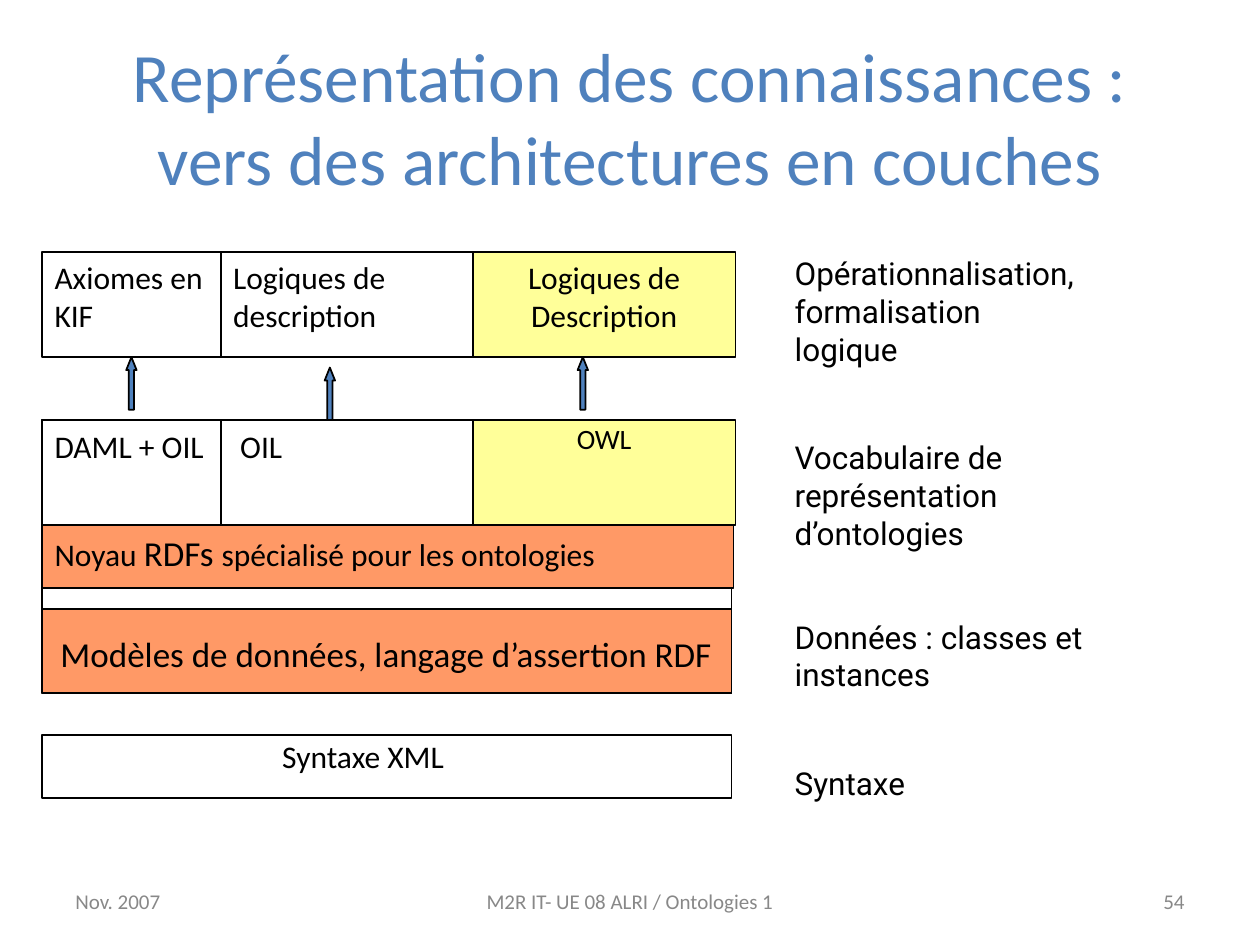
from dataclasses import dataclass

from pptx import Presentation
from pptx.dml.color import RGBColor
from pptx.enum.shapes import MSO_SHAPE
from pptx.enum.text import MSO_ANCHOR, MSO_AUTO_SIZE, PP_ALIGN
from pptx.util import Cm, Pt


@dataclass(frozen=True)
class Theme:
    blue: str = "4F81BD"
    orange: str = "FF9966"
    yellow: str = "FFFF99"
    black: str = "000000"
    grey: str = "888888"
    heading_font: str = "Calibri"
    label_font: str = "Roboto"
    title_size: float = 39.6
    large_size: int = 20
    body_size: int = 18
    small_size: int = 16
    footer_size: int = 12
    line_width: int = 1


THEME = Theme()
LEFT, CENTER, RIGHT = PP_ALIGN.LEFT, PP_ALIGN.CENTER, PP_ALIGN.RIGHT
INSETS = (0.25, 0.13)
TIGHT_INSETS = (0.15, 0.03)

TITLE = "Représentation des connaissances : vers des architectures en couches"
FOOTERS = [
    ("Nov. 2007", 1.27, 5.93, LEFT),
    ("M2R IT- UE 08 ALRI / Ontologies 1", 8.68, 8.04, CENTER),
    ("54", 18.2, 5.93, RIGHT),
]
FRAMES = [
    (14.82, 1.27, None),
    (12.28, 1.69, THEME.orange),
    (8.47, 5.5, None),
]
LAYER_LABELS = [
    (["Opérationnalisation,", "formalisation logique"], 5.0, 1.78),
    (["Vocabulaire de représentation d’ontologies"], 8.71, 2.54),
    (["Données : classes et instances"], 12.32, 1.78),
    (["Syntaxe"], 15.27, 1.02),
]
FRAME_LABELS = [
    ("Syntaxe XML", THEME.body_size, (5.44, 14.73, 3.81, 1.02)),
    ("Modèles de données, langage d’assertion RDF", THEME.large_size,
     (0.97, 12.62, 13.77, 1.12)),
]
CORE_RUNS = [
    ("Noyau ", THEME.body_size),
    ("RDFs ", THEME.large_size),
    ("spécialisé pour les ontologies", THEME.body_size),
]
COLUMNS = [(3.6, None, LEFT), (5.08, None, LEFT), (5.3, THEME.yellow, CENTER)]
ROWS = [
    (5.08, ["Axiomes en KIF", "Logiques de description", "Logiques de Description"]),
    (8.47, ["DAML + OIL", " OIL", "OWL"]),
]
ARROWS = [(2.65, 7.2), (6.65, 7.41), (11.75, 7.2)]

STACK_LEFT, FRAME_WIDTH, CORE_WIDTH = 0.85, 13.9, 13.94
CORE_TOP, CORE_HEIGHT = 10.59, 1.27
CELL_HEIGHT = 2.12
LABEL_LEFT, LABEL_WIDTH = 15.77, 6.35
FOOTER_TOP, FOOTER_HEIGHT = 17.65, 1.02
ARROW_WIDTH, ARROW_HEIGHT = 0.21, 1.06


def write(shape, paragraphs, color=THEME.black, font=THEME.heading_font, align=LEFT,
          anchor=MSO_ANCHOR.TOP, insets=INSETS, auto_size=MSO_AUTO_SIZE.NONE):
    frame = shape.text_frame
    horizontal, vertical = map(Cm, insets)
    settings = {
        "word_wrap": True, "auto_size": auto_size, "vertical_anchor": anchor,
        "margin_left": horizontal, "margin_right": horizontal,
        "margin_top": vertical, "margin_bottom": vertical,
    }
    for name, value in settings.items():
        setattr(frame, name, value)
    for index, runs in enumerate(paragraphs):
        paragraph = frame.add_paragraph() if index else frame.paragraphs[0]
        paragraph.alignment = align
        for text, size in runs:
            run = paragraph.add_run()
            run.text = text
            for name, value in {"name": font, "size": Pt(size)}.items():
                setattr(run.font, name, value)
            run.font.color.rgb = RGBColor.from_string(color)


def add_box(slide, box, fill=None, kind=MSO_SHAPE.RECTANGLE):
    shape = slide.shapes.add_shape(kind, *map(Cm, box))
    shape.shadow.inherit = False
    if fill:
        shape.fill.solid()
        shape.fill.fore_color.rgb = RGBColor.from_string(fill)
    else:
        shape.fill.background()
    shape.line.color.rgb = RGBColor.from_string(THEME.black)
    shape.line.width = Pt(THEME.line_width)
    return shape


def add_text(slide, box, paragraphs, **style):
    write(slide.shapes.add_textbox(*map(Cm, box)), paragraphs, **style)


def add_title_and_footers(slide):
    title = slide.shapes.title
    place = {"left": 1.27, "top": 0.76, "width": 22.86, "height": 3.18}
    for name, value in place.items():
        setattr(title, name, Cm(value))
    write(title, [[(TITLE, THEME.title_size)]], color=THEME.blue, align=CENTER,
          anchor=MSO_ANCHOR.MIDDLE)
    for text, left, width, align in FOOTERS:
        add_text(slide, (left, FOOTER_TOP, width, FOOTER_HEIGHT),
                 [[(text, THEME.footer_size)]], color=THEME.grey, align=align,
                 anchor=MSO_ANCHOR.MIDDLE)


def add_layers(slide):
    grow = MSO_AUTO_SIZE.SHAPE_TO_FIT_TEXT
    for top, height, fill in FRAMES:
        add_box(slide, (STACK_LEFT, top, FRAME_WIDTH, height), fill)
    for lines, top, height in LAYER_LABELS:
        add_text(slide, (LABEL_LEFT, top, LABEL_WIDTH, height),
                 [[(line, THEME.body_size)] for line in lines],
                 font=THEME.label_font, auto_size=grow)
    for text, size, box in FRAME_LABELS:
        add_text(slide, box, [[(text, size)]], auto_size=grow)
    core = add_box(slide, (STACK_LEFT, CORE_TOP, CORE_WIDTH, CORE_HEIGHT), THEME.orange)
    write(core, [CORE_RUNS])


def add_languages(slide):
    for top, texts in ROWS:
        left = STACK_LEFT
        for text, (width, fill, align) in zip(texts, COLUMNS):
            cell = add_box(slide, (left, top, width, CELL_HEIGHT), fill)
            compact = text == "OWL"
            size = THEME.small_size if compact else THEME.body_size
            write(cell, [[(text, size)]], align=align,
                  insets=TIGHT_INSETS if compact else INSETS)
            left += width
    for center, top in ARROWS:
        box = (center - ARROW_WIDTH / 2, top, ARROW_WIDTH, ARROW_HEIGHT)
        arrow = add_box(slide, box, THEME.blue, MSO_SHAPE.UP_ARROW)
        arrow.adjustments[0] = 0.5
        arrow.adjustments[1] = 1.25


def main():
    presentation = Presentation()
    presentation.slide_width = Cm(25.4)
    presentation.slide_height = Cm(19.05)
    slide = presentation.slides.add_slide(presentation.slide_layouts[5])
    add_title_and_footers(slide)
    add_layers(slide)
    add_languages(slide)
    presentation.save("out.pptx")


if __name__ == "__main__":
    main()
